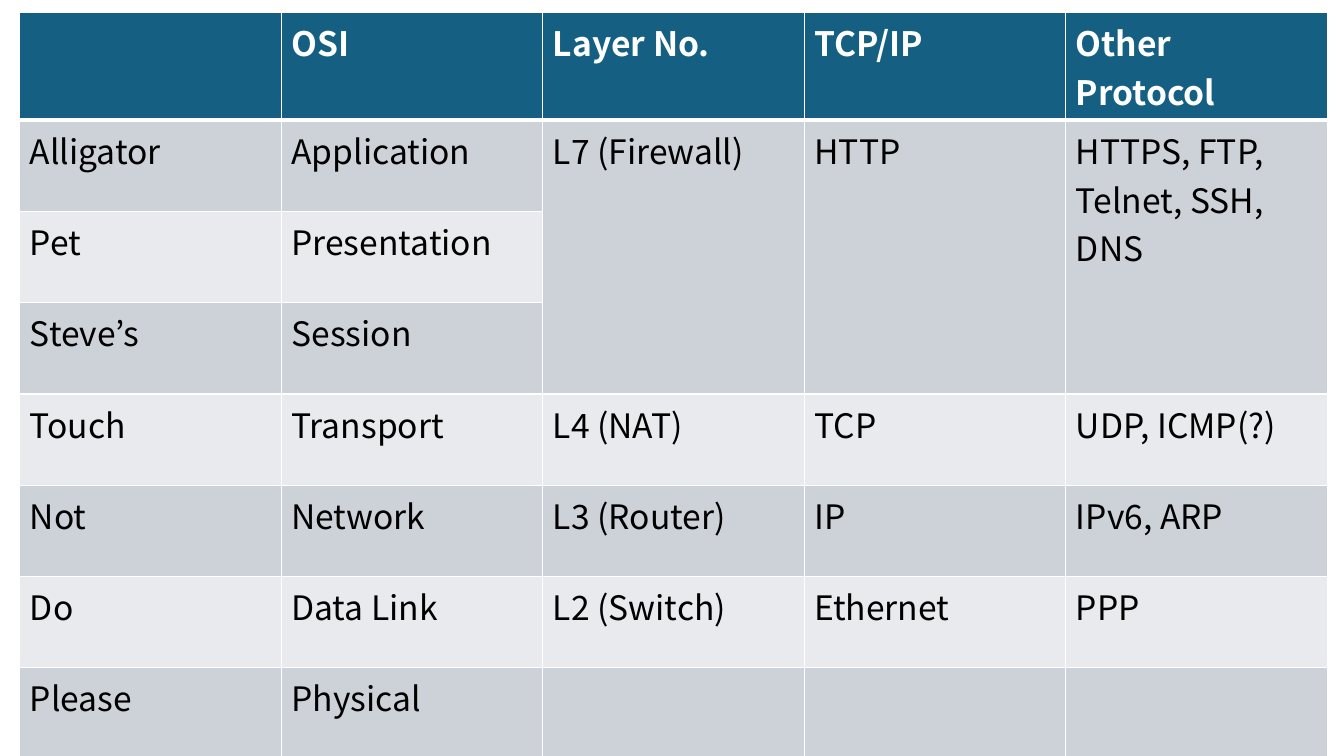
"""Build a slide with a table of the OSI layers and their protocols."""
import pptx
import pptx.dml.color
import pptx.oxml
import pptx.oxml.ns
import pptx.util

Cm, Pt = pptx.util.Cm, pptx.util.Pt
FONT = "Noto Sans CJK KR"
ROWS = [
    ["", "OSI", "Layer No.", "TCP/IP", "Other Protocol"],
    ["Alligator", "Application", "L7 (Firewall)", "HTTP", "HTTPS, FTP, Telnet, SSH,\nDNS"],
    ["Pet", "Presentation", "", "", ""],
    ["Steve’s", "Session", "", "", ""],
    ["Touch", "Transport", "L4 (NAT)", "TCP", "UDP, ICMP(?)"],
    ["Not", "Network", "L3 (Router)", "IP", "IPv6, ARP"],
    ["Do", "Data Link", "L2 (Switch)", "Ethernet", "PPP"],
    ["Please", "Physical", "", "", ""],
]


def color(code):
    return pptx.dml.color.RGBColor.from_string(code)


def border(cell, side, width):
    props = cell._tc.get_or_add_tcPr()
    props.append(pptx.oxml.parse_xml(
        f'<a:ln{side} {pptx.oxml.ns.nsdecls("a")} w="{Pt(width)}">'
        '<a:solidFill><a:srgbClr val="FFFFFF"/></a:solidFill>'
        f'</a:ln{side}>'))


deck = pptx.Presentation()
deck.slide_width, deck.slide_height = Cm(33.87), Cm(19.05)
slide = deck.slides.add_slide(deck.slide_layouts[6])
frame = slide.shapes.add_table(
    len(ROWS), len(ROWS[0]), Cm(0.5), Cm(0.32), Cm(32.95), Cm(18.4))
table = frame.table
for col in table.columns:
    col.width = Cm(6.59)
for row in table.rows:
    row.height = Cm(2.3)

for r, words in enumerate(ROWS):
    head = r == 0
    fill = "156082" if head else ("CCD2D8" if r % 2 else "E8EAED")
    for c, text in enumerate(words):
        cell = table.cell(r, c)
        for side in "LRTB":
            thick = (r, side) in [(0, "B"), (1, "T")]
            border(cell, side, 3 if thick else 1)
        cell.fill.solid()
        cell.fill.fore_color.rgb = color(fill)
        if not text:
            continue
        for i, line in enumerate(text.split("\n")):
            body = cell.text_frame
            para = body.add_paragraph() if i else body.paragraphs[0]
            run = para.add_run()
            run.text = line
            run.font.name = FONT
            run.font.size = Pt(24)
            run.font.bold = head
            run.font.color.rgb = color("FFFFFF" if head else "000000")

for c in range(2, 5):
    table.cell(1, c).merge(table.cell(3, c))

deck.save("out.pptx")
